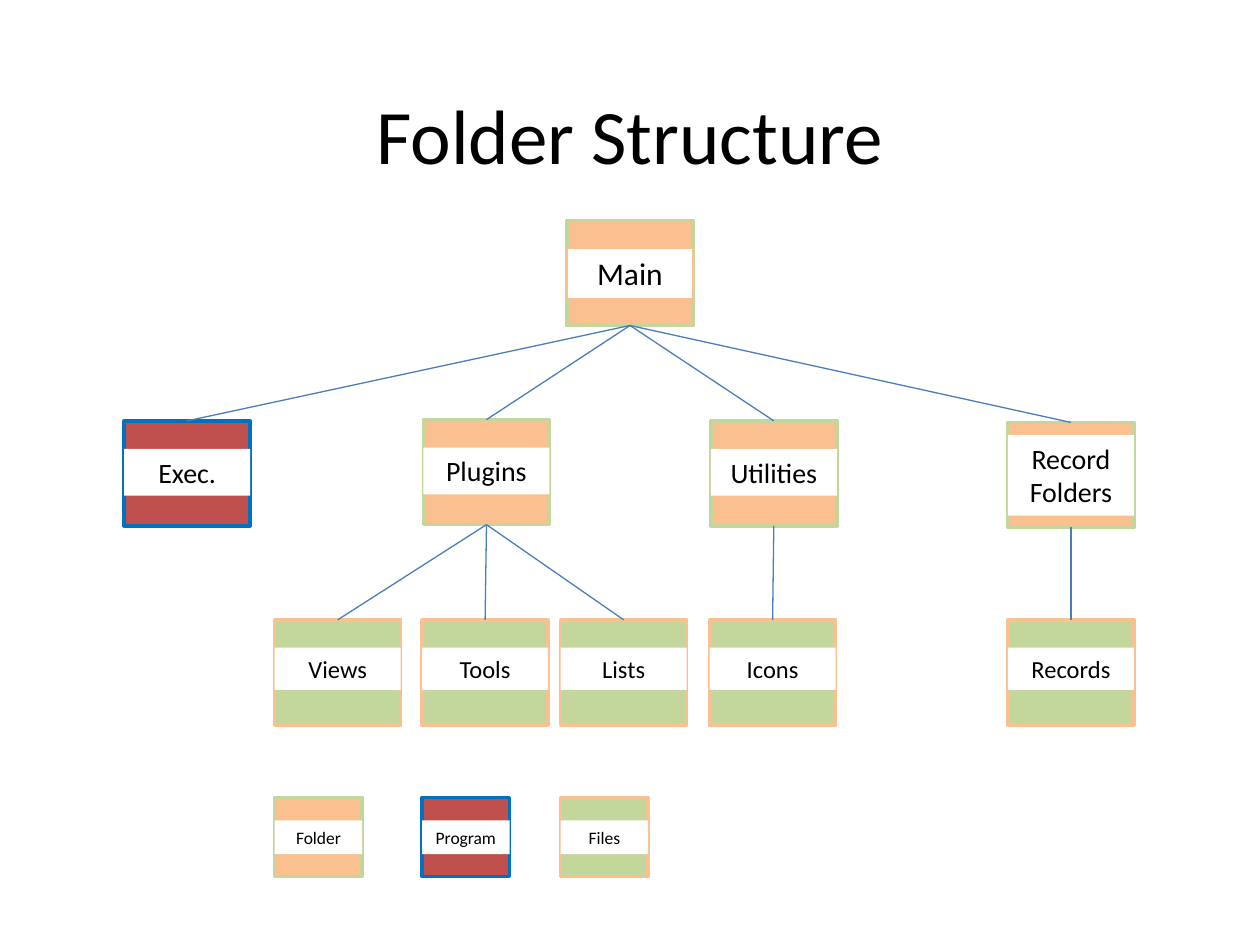
from collections import namedtuple

from lxml import etree
from pptx import Presentation
from pptx.dml.color import RGBColor
from pptx.enum.shapes import MSO_CONNECTOR, MSO_SHAPE
from pptx.enum.text import MSO_ANCHOR as Anchor, MSO_AUTO_SIZE as AutoSize, PP_ALIGN as Align
from pptx.oxml.ns import qn
from pptx.util import Pt

Style = namedtuple("Style", "fill border")
FOLDER = Style("FAC090", "C3D69B")
PROGRAM = Style("C0504D", "0070C0")
FILES = Style("C3D69B", "FAC090")

TOP, BOTTOM = 0, 2

# Size of a box, with the offset and height of its label and the text size
Size = namedtuple("Size", "width height label_offset label_height text_size")
ROOT = Size(72, 60, 15.8, 29, 18)
BRANCH = Size(72, 60, 16, 26.7, 16)
TALL_BRANCH = Size(72, 60, 7.2, 46.1, 16)
LEAF = Size(72, 60, 15.8, 24.3, 14)
KEY = Size(50, 45, 13, 19.4, 10)

LEAF_TOP = 354.2
KEY_TOP = 455.8

NODES = [
    ("Main", 324, 126, ROOT, FOLDER),
    ("Exec.", 71, 240.5, BRANCH, PROGRAM),
    ("Plugins", 242, 239.8, BRANCH, FOLDER),
    ("Utilities", 406.2, 240.5, BRANCH, FOLDER),
    ("Record\nFolders", 576, 241.4, TALL_BRANCH, FOLDER),
    ("Views", 157, LEAF_TOP, LEAF, FILES),
    ("Tools", 241.2, LEAF_TOP, LEAF, FILES),
    ("Lists", 320.4, LEAF_TOP, LEAF, FILES),
    ("Icons", 405.5, LEAF_TOP, LEAF, FILES),
    ("Records", 576, LEAF_TOP, LEAF, FILES),
]
CHILDREN = {
    "Main": ["Exec.", "Plugins", "Utilities", "Record\nFolders"],
    "Plugins": ["Views", "Tools", "Lists"],
    "Utilities": ["Icons"],
    "Record\nFolders": ["Records"],
}
LEGEND = [
    ("Folder", 157, FOLDER),
    ("Program", 241.2, PROGRAM),
    ("Files", 320.4, FILES),
]


def rgb(value):
    return RGBColor.from_string(value)


def write_text(box, text, size, color="000000", font="Calibri", anchor=Anchor.TOP):
    frame = box.text_frame
    frame.text = text
    frame.word_wrap = True
    frame.vertical_anchor = anchor
    for para in frame.paragraphs:
        para.alignment = Align.CENTER
        for span in para.runs:
            span.font.size = Pt(size)
            span.font.name = font
            span.font.color.rgb = rgb(color)


def add_rectangle(shapes, left, top, width, height, fill, border=None, weight=2):
    box = shapes.add_shape(
        MSO_SHAPE.RECTANGLE, Pt(left), Pt(top), Pt(width), Pt(height))
    box.shadow.inherit = False
    box.fill.solid()
    box.fill.fore_color.rgb = rgb(fill)
    if border:
        box.line.color.rgb = rgb(border)
        box.line.width = Pt(weight)
    else:
        box.line.fill.background()
    return box


def add_node(slide, text, left, top, size, style, anchor=Anchor.TOP, label_border=None):
    """Add a coloured box with a white label band, and return the box."""
    shapes = slide.shapes.add_group_shape().shapes
    box = add_rectangle(shapes, left, top, size.width, size.height, *style)
    label = add_rectangle(shapes, left, top + size.label_offset, size.width,
                          size.label_height, "FFFFFF", label_border, weight=0.75)
    write_text(label, text, size.text_size, anchor=anchor)
    label.text_frame.auto_size = AutoSize.SHAPE_TO_FIT_TEXT
    return box


def connect(slide, parent, child):
    line = slide.shapes.add_connector(MSO_CONNECTOR.STRAIGHT, 0, 0, 0, 0)
    line.begin_connect(parent, BOTTOM)
    line.end_connect(child, TOP)
    line.line.color.rgb = rgb("4A7EBB")
    line.line.width = Pt(0.75)
    etree.SubElement(line._element.spPr, qn("a:effectLst"))


def add_title(slide, text):
    title = slide.shapes.title
    title.left, title.top, title.width, title.height = Pt(36), Pt(31.7), Pt(648), Pt(90)
    write_text(title, text, 44, anchor=Anchor.MIDDLE)


def main():
    deck = Presentation()
    deck.slide_width, deck.slide_height = Pt(720), Pt(540)
    slide = deck.slides.add_slide(deck.slide_layouts.get_by_name("Title Only"))
    add_title(slide, "Folder Structure")

    boxes = {}
    for text, left, top, size, style in NODES:
        label_border = style.fill if size is ROOT else None
        boxes[text] = add_node(slide, text, left, top, size, style,
                               label_border=label_border)
    for parent, children in CHILDREN.items():
        for child in children:
            connect(slide, boxes[parent], boxes[child])
    for text, left, style in LEGEND:
        add_node(slide, text, left, KEY_TOP, KEY, style, anchor=Anchor.MIDDLE)

    deck.save("out.pptx")


if __name__ == "__main__":
    main()
